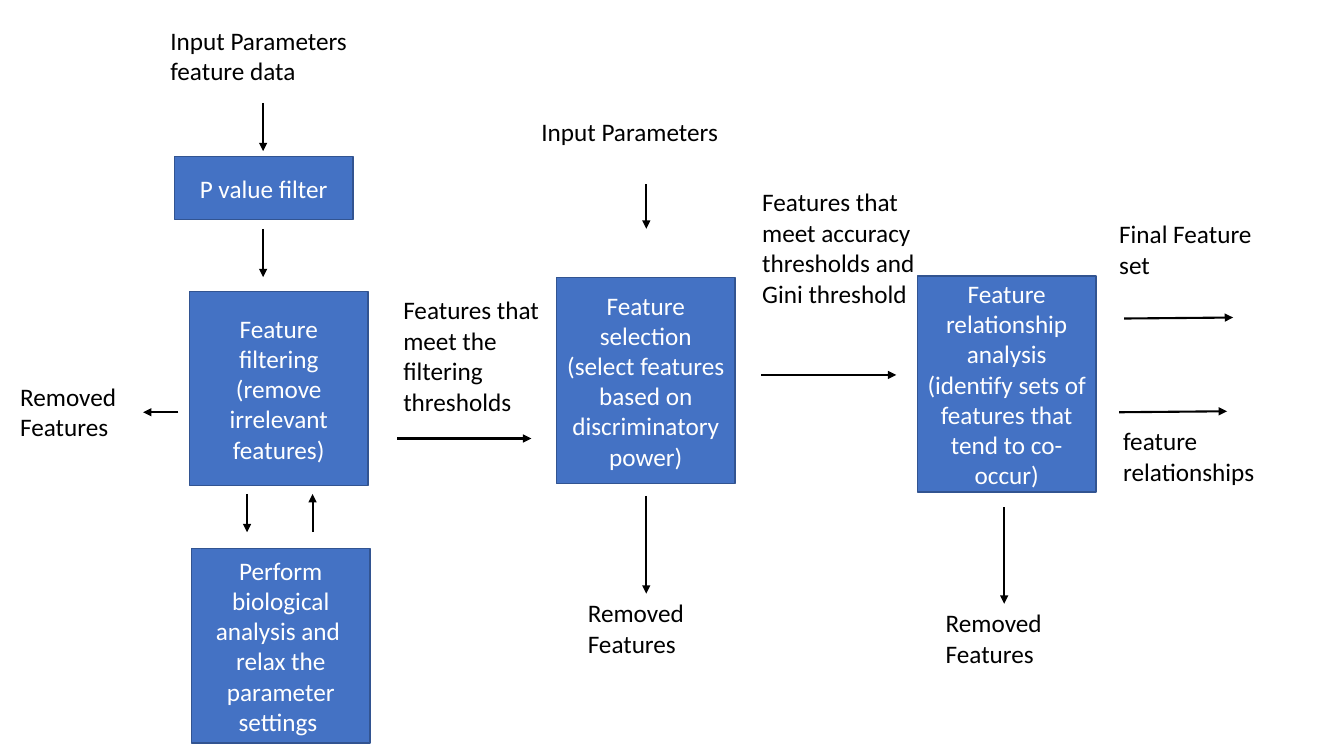
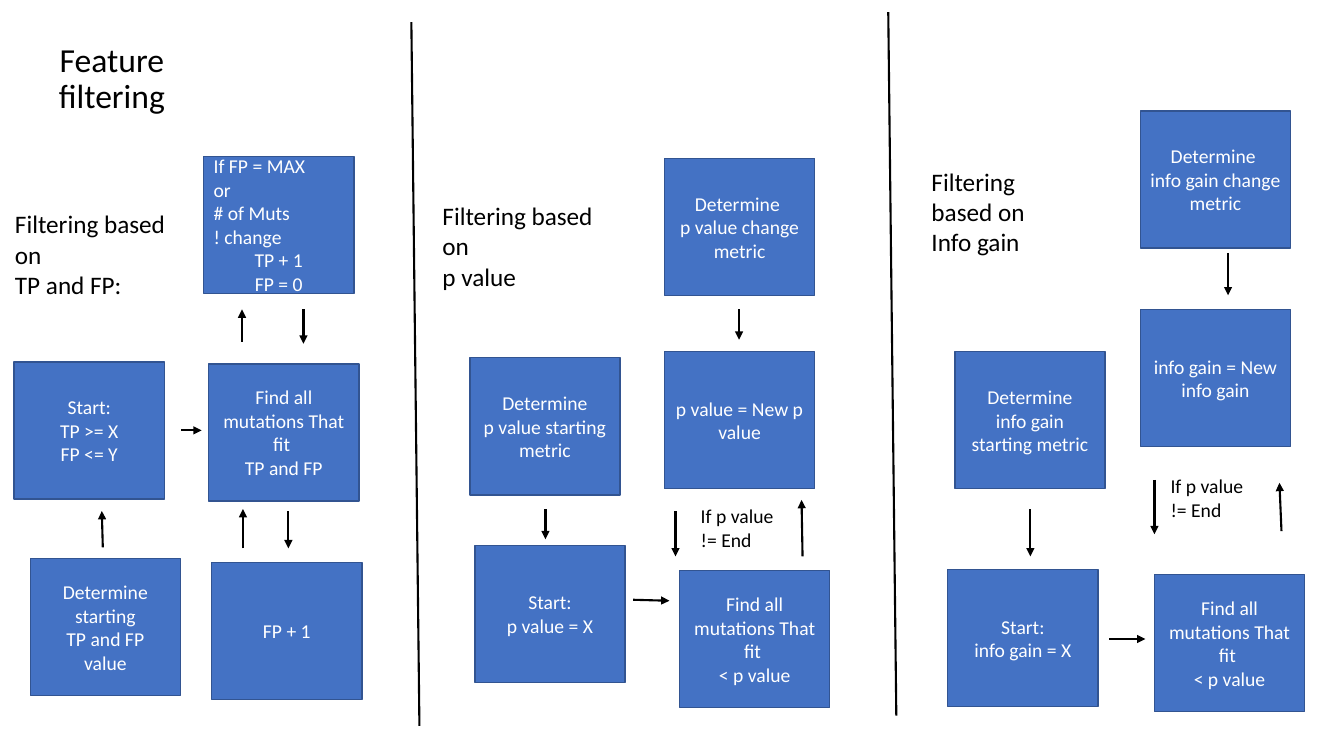
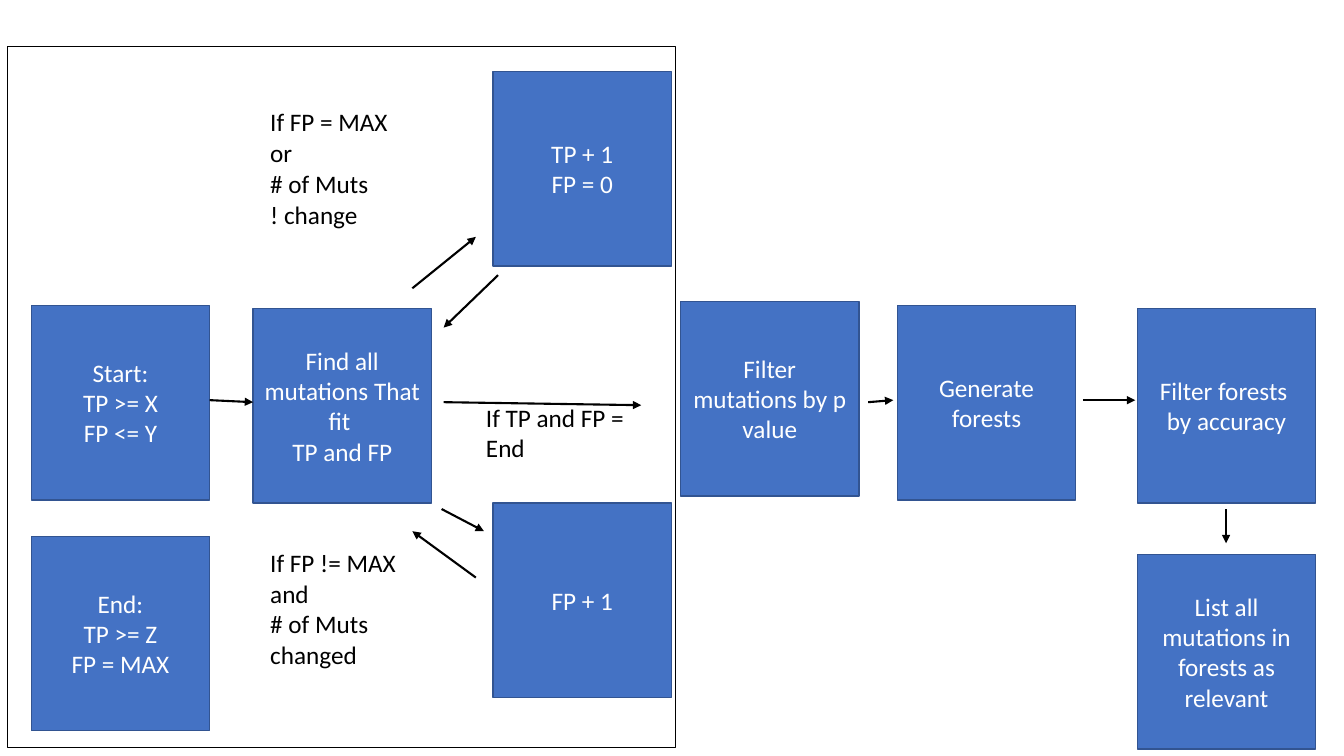
from lxml import etree
from pptx import Presentation
from pptx.dml.color import RGBColor
from pptx.enum.shapes import MSO_CONNECTOR, MSO_SHAPE
from pptx.enum.text import MSO_ANCHOR, MSO_AUTO_SIZE, PP_ALIGN
from pptx.oxml.ns import qn
from pptx.util import Inches, Pt

RECT = MSO_SHAPE.RECTANGLE
LINE = MSO_CONNECTOR.STRAIGHT
MID = MSO_ANCHOR.MIDDLE
GROW = MSO_AUTO_SIZE.SHAPE_TO_FIT_TEXT
FIXED = MSO_AUTO_SIZE.NONE
LEFT = PP_ALIGN.LEFT
MIDST = PP_ALIGN.CENTER

CELL = 0.1
COLS, ROWS = 133.3, 75
FONT = "Calibri"
BLUE, EDGE, BLACK, WHITE = "4472C4", "325491", "000000", "FFFFFF"
BIG = (17.7, 19.3)
SMALL = (14.9, 13.6)
PLAIN = "{2D5ABB26-0587-4C30-8999-92F81FD0307C}"


def grid(*cells):
    return [Inches(cell * CELL) for cell in cells]


def paint(color, code):
    color.rgb = RGBColor.from_string(code)


def write(frame, paras, size, code, align=LEFT, lead=0):
    frame.word_wrap = True
    for i, words in enumerate(paras):
        para = frame.paragraphs[0] if i == 0 else frame.add_paragraph()
        para.alignment = LEFT if i < lead else align
        for j, part in enumerate(words.split("\n")):
            if j:
                para.add_line_break()
            run = para.add_run()
            run.text = part
            run.font.size = Pt(size)
            run.font.name = FONT
            paint(run.font.color, code)


def box(slide, spot, paras, dims=BIG, lead=0):
    shape = slide.shapes.add_shape(RECT, *grid(*spot, *dims))
    shape.shadow.inherit = False
    shape.fill.solid()
    paint(shape.fill.fore_color, BLUE)
    paint(shape.line.color, EDGE)
    shape.line.width = Pt(1)
    shape.text_frame.vertical_anchor = MID
    size = 14 if dims == SMALL else 18
    write(shape.text_frame, paras, size, WHITE, MIDST, lead)


def border(slide, *place):
    shape = slide.shapes.add_shape(RECT, *grid(*place))
    shape.shadow.inherit = False
    shape.fill.background()
    paint(shape.line.color, BLACK)
    shape.line.width = Pt(0.75)


def label(slide, place, paras, size=18):
    table = slide.shapes.add_table(1, 1, *grid(*place)).table
    table.first_row = table.horz_banding = False
    table._tbl.tblPr.find(qn("a:tableStyleId")).text = PLAIN
    cell = table.cell(0, 0)
    cell.fill.background()
    write(cell.text_frame, paras, size, BLACK)


def note(slide, place, paras):
    text = slide.shapes.add_textbox(*grid(*place)).text_frame
    write(text, paras, 18, BLACK)
    text.auto_size = GROW


def rule(slide, ends, head=False):
    line = slide.shapes.add_connector(LINE, *grid(*ends))
    paint(line.line.color, BLACK)
    line.line.width = Pt(1.5)
    if head:
        etree.SubElement(line.line._ln, qn("a:tailEnd"), type="triangle")
    etree.SubElement(line._element.spPr, qn("a:effectLst"))


def arrows(slide, *links):
    for ends in links:
        rule(slide, ends, True)


def title(slide, place, words):
    shape = slide.shapes.title
    shape.left, shape.top, shape.width, shape.height = grid(*place)
    frame = shape.text_frame
    frame.vertical_anchor = MID
    frame.auto_size = FIXED
    write(frame, [words], 24, BLACK, MIDST)
    frame.paragraphs[0].line_spacing = 0.9


def flow(slide):
    box(slide, (18.8, 28.9), ["Feature filtering", "(remove irrelevant features)"])
    box(slide, (55.2, 27.5), ["Feature selection",
        "(select features based on discriminatory power)"], (17.7, 20.5))
    box(slide, (91, 27.4), ["Feature relationship analysis",
        "(identify sets of features that tend to co-occur)"], (17.7, 21.4))
    box(slide, (19, 54.4), ["Perform biological analysis and ",
        "relax the parameter settings "])
    box(slide, (17.3, 15.5), ["P value filter"], (17.7, 6.3))
    for place, paras in (
        ((39, 28.8, 17.4, 12.3), ["Features that meet the filtering thresholds"]),
        ((74.6, 18.1, 18.2, 12.3),
         ["Features that meet accuracy thresholds and Gini threshold"]),
        ((110, 21.3, 17.4, 8.1), ["Final Feature set"]),
        ((15.9, 2.1, 22.8, 6.1), ["Input Parameters", "feature data"]),
        ((52.7, 11.2, 22.8, 7.6), ["Input Parameters"]),
        ((110.4, 41.8, 17.4, 8.1), ["feature relationships"]),
    ):
        label(slide, place, paras)
    for left, top, high in ((1, 37.4, 12.3), (57.3, 58.9, 7), (92.8, 59.9, 7)):
        label(slide, (left, top, 17.4, high), ["Removed Features"])
    arrows(slide,
           (39.4, 43.5, 52.7, 43.5), (75.5, 37.2, 88.9, 37.2),
           (111.5, 31.6, 122.3, 31.5), (111, 40.9, 121.7, 40.8),
           (17.7, 40.9, 14.2, 40.9), (64.1, 49.2, 64.1, 58.9),
           (26.1, 22.7, 26.1, 27.5), (26.1, 10.2, 26.1, 15),
           (64.1, 18.3, 64.1, 22.7), (99.6, 50.3, 99.6, 59.9),
           (24.5, 49, 24.5, 52.8), (31, 52.8, 31, 49))


def lane(slide, name, start, find, new, first, change, test):
    for spot, paras in (
        (start, [f"Start:\n{name} = X"]),
        (find, ["Find all mutations That fit ", "< p value"]),
        (new, [f"{name} = New {name}"]),
        (first, ["Determine", f"{name} starting metric"]),
        (change, ["Determine ", f"{name} change metric"]),
    ):
        box(slide, spot, paras, SMALL)
    label(slide, (*test, 11.7, 5), ["If p value ", "!= End "], 14)


def filters(slide):
    title(slide, (0.9, 4, 20.4, 7.8), "Feature filtering")
    for spot, paras in (
        ((1.4, 35.9), ["Start:\nTP >= X", "FP <= Y"]),
        ((20.7, 36.1), ["Find all mutations That fit ", "TP and FP"]),
        ((21, 55.8), ["FP + 1"]),
        ((3, 55.4), ["Determine starting", "TP and FP", "value"]),
    ):
        box(slide, spot, paras, SMALL)
    box(slide, (20.2, 15.5), ["If FP = MAX ", "or", "# of Muts ", "! change",
                              "TP + 1", "FP = 0"], SMALL, 4)
    lane(slide, "p value", (47.1, 54.1), (67.4, 56.6), (65.9, 34.9),
         (46.6, 35.5), (65.9, 15.7), (68.5, 49.6))
    lane(slide, "info gain", (94, 56.5), (114.5, 57), (113.1, 30.7),
         (94.7, 34.9), (113.1, 11), (115.1, 46.6))
    arrows(slide,
           (24, 33.9, 24, 30.7), (28.6, 50.7, 28.6, 54.4),
           (18, 42.7, 20, 42.7), (30.1, 30.7, 30.1, 34.1),
           (24.1, 54.4, 24.1, 50.5), (10.2, 54.3, 10.1, 50.7),
           (79.6, 55.2, 79.5, 49.6), (62.8, 59.5, 66.4, 59.6),
           (67, 50.7, 67, 55.2), (73.3, 30.7, 73.3, 33.7),
           (54.1, 50.5, 54.1, 53.5),
           (127.1, 52.7, 126.9, 47.9), (110, 63.4, 113.6, 63.4),
           (114.5, 47.6, 114.5, 53), (121.8, 25.1, 121.8, 29.3),
           (102.2, 50.5, 102.2, 55.2))
    for left, top in ((40.8, 2.2), (88.1, 1.2)):
        rule(slide, (left, top, left + 0.8, top + 69.8))
    for left, top, wide, paras in (
        (0.5, 20.2, 19.5, ["Filtering based on ", "TP and FP:"]),
        (42.9, 19.4, 17.8, ["Filtering based on", "p value"]),
        (91.4, 16, 15.5, ["Filtering based on", "Info gain"]),
    ):
        note(slide, (left, top, wide, 10.1), paras)


def forest(slide):
    for spot, paras in (
        ((3.1, 30.3), ["Start:\nTP >= X", "FP <= Y"]),
        ((3.1, 53.2), ["End:\nTP >= Z", "FP = MAX"]),
        ((25.1, 30.6), ["Find all mutations That fit ", "TP and FP"]),
        ((48.9, 49.9), ["FP + 1"]),
        ((48.9, 7.1), ["TP + 1", "FP = 0"]),
        ((67.5, 29.9), ["Filter mutations by p value"]),
        ((89, 30.3), ["Generate forests"]),
        ((112.8, 30.6), ["Filter forests ", "by accuracy"]),
        ((112.8, 55), ["List all mutations in forests as relevant"]),
    ):
        box(slide, spot, paras)
    for left, top, paras in (
        (25.8, 10.2, ["If FP = MAX ", "or", "# of Muts ", "! change"]),
        (25.8, 53.9, ["If FP != MAX ", "and", "# of Muts ", "changed"]),
        (47.2, 39.5, ["If TP and FP = End"]),
    ):
        label(slide, (left, top, 16.4, 4.1), paras)
    arrows(slide,
           (40.9, 28.6, 47.2, 23.5), (43.8, 50.5, 48, 52.7),
           (20.8, 39.7, 25.1, 39.9), (44, 39.9, 63.6, 40.2),
           (49.4, 27.3, 44, 32.5), (47.2, 57.3, 40.9, 52.7),
           (86.1, 39.9, 88.6, 39.7), (107.4, 39.7, 112.6, 39.7),
           (121.6, 50.5, 121.6, 53.9))
    border(slide, 0.7, 4.6, 66.3, 69.6)


def main():
    deck = Presentation()
    deck.slide_width, deck.slide_height = grid(COLS, ROWS)
    for draw, kind in ((flow, 6), (filters, 5), (forest, 6)):
        draw(deck.slides.add_slide(deck.slide_layouts[kind]))
    deck.save("out.pptx")


main()
